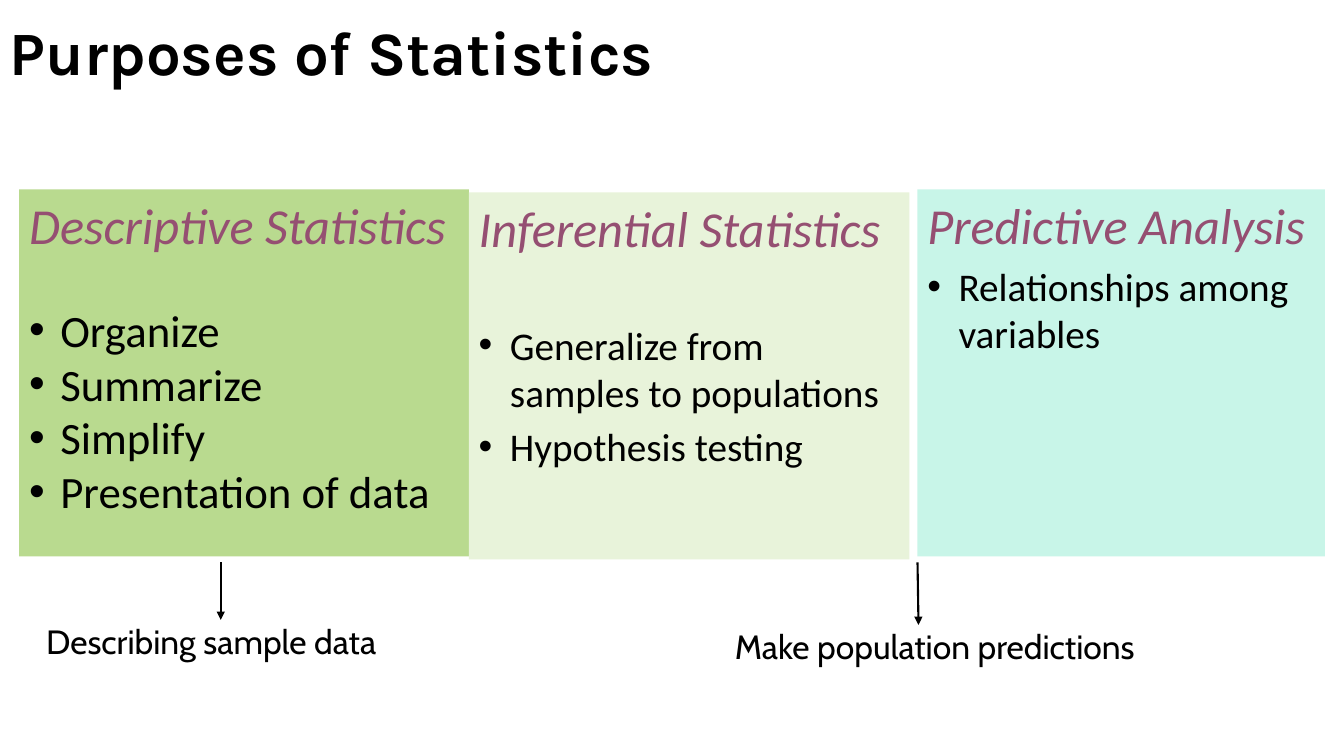
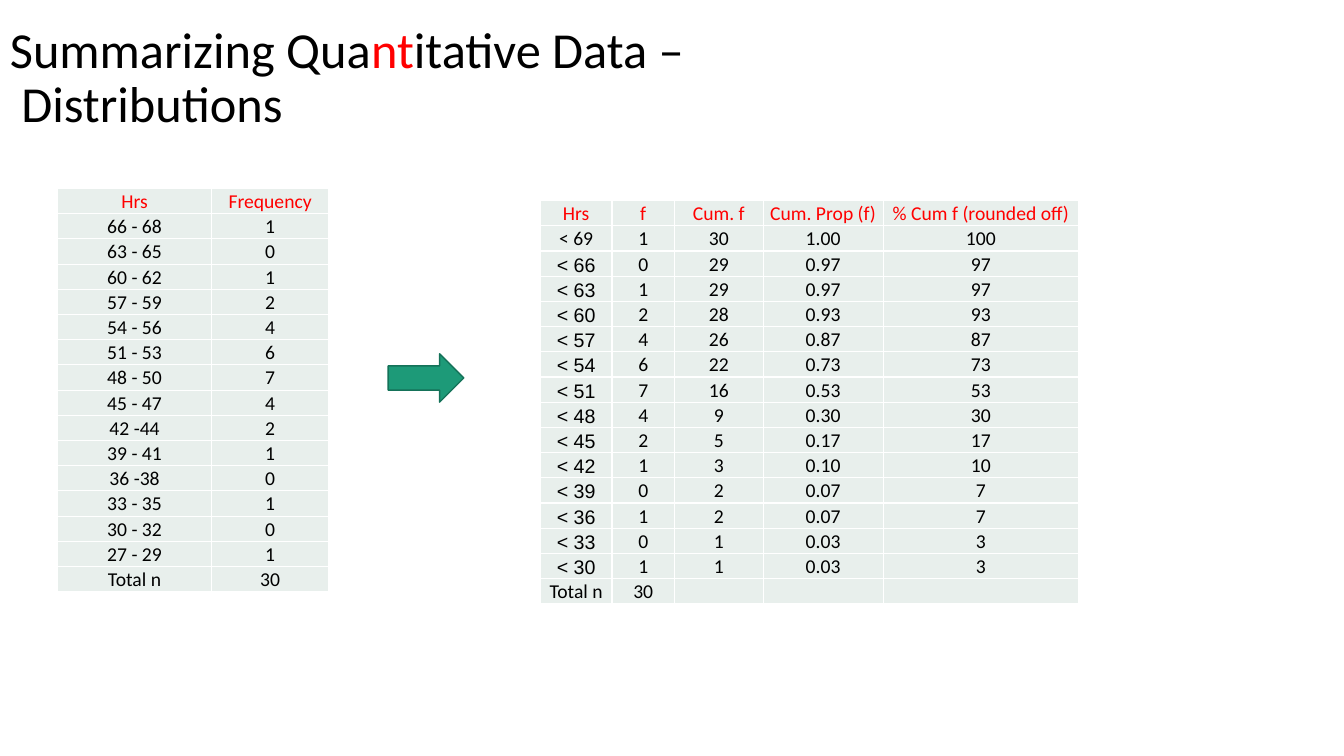
import dataclasses
import itertools

import lxml.etree
import pptx
import pptx.dml.color
import pptx.enum.shapes
import pptx.enum.text
import pptx.oxml
import pptx.oxml.ns
import pptx.util

qn = pptx.oxml.ns.qn
Shapes = pptx.enum.shapes.MSO_SHAPE
Anchor = pptx.enum.text.MSO_ANCHOR
Align = pptx.enum.text.PP_ALIGN


@dataclasses.dataclass(frozen=True)
class Theme:
    """Colours, fonts and type sizes shared by the slides."""
    ink: str = "000000"
    accent: str = "FF0000"
    heading: str = "954F72"
    descriptive: str = "B9DA8F"
    inferential: str = "E8F3DA"
    predictive: str = "C8F5E8"
    cell: str = "E8EFEC"
    grid: str = "FFFFFF"
    arrow: str = "1D9A78"
    arrow_edge: str = "157259"
    body_font: str = "Calibri"
    title_font: str = "Karla"
    caption_font: str = "Cabin"
    plain_font: str = "Arial"
    title_size: int = 44
    heading_size: int = 36
    large_size: int = 32
    body_size: int = 28
    caption_size: int = 24
    table_size: int = 14


def px(length):
    """Turn px, 100 to the inch, into EMU."""
    return pptx.util.Emu(length * 9144)


def rgb(value):
    """Turn a hex value into a colour."""
    return pptx.dml.color.RGBColor.from_string(value)


class Deck:
    """Hold the theme and the current slide, and draw each kind of element."""

    def __init__(self, theme, width, height):
        """Start an empty presentation of the given size."""
        self.theme = theme
        self.prs = pptx.Presentation()
        self.prs.slide_width, self.prs.slide_height = px(width), px(height)
        self.slide = None

    def new_slide(self):
        """Add a blank slide and make it current."""
        self.slide = self.prs.slides.add_slide(self.prs.slide_layouts[6])

    def run(self, paragraph, text, size, font=None, color=None, bold=False, italic=False):
        """Add one styled run."""
        run = paragraph.add_run()
        run.text = text
        run.font.size = pptx.util.Pt(size)
        run.font.name = font or self.theme.body_font
        run.font.color.rgb = rgb(color or self.theme.ink)
        run.font.bold, run.font.italic = bold, italic

    def text(self, box):
        """Add a wrapping text box and return its frame."""
        frame = self.slide.shapes.add_textbox(*map(px, box)).text_frame
        frame.word_wrap = True
        return frame

    def title(self, box, lines, **style):
        """Add a title from lines of (text, colour) parts."""
        frame = self.text(box)
        frame.vertical_anchor = Anchor.MIDDLE
        paragraph = frame.paragraphs[0]
        paragraph.line_spacing = 0.9
        for index, parts in enumerate(lines):
            if index:
                paragraph.add_line_break()
            for text, color in parts:
                self.run(paragraph, text, color=color, **style)

    def caption(self, box, text):
        """Add a short caption."""
        self.run(self.text(box).paragraphs[0], text,
                 self.theme.caption_size, self.theme.caption_font)

    def shape(self, kind, box, fill, line=None):
        """Add a filled shape, outlined if a line colour is given."""
        shape = self.slide.shapes.add_shape(kind, *map(px, box))
        shape.shadow.inherit = False
        shape.fill.solid()
        shape.fill.fore_color.rgb = rgb(fill)
        if line:
            shape.line.color.rgb = rgb(line)
            shape.line.width = pptx.util.Pt(1)
        else:
            shape.line.fill.background()
        return shape

    def bullet(self, paragraph):
        """Give a paragraph a hanging bullet."""
        props = paragraph._p.get_or_add_pPr()
        props.set("marL", str(px(31)))
        props.set("indent", str(-px(31)))
        color = lxml.etree.SubElement(props, qn("a:buClr"))
        lxml.etree.SubElement(color, qn("a:srgbClr"), val=self.theme.ink)
        lxml.etree.SubElement(props, qn("a:buFont"), typeface=self.theme.plain_font)
        lxml.etree.SubElement(props, qn("a:buChar"), char="•")

    def panel(self, box, fill, heading, items, size, first_gap, gap):
        """Add a coloured panel with a heading and bullets."""
        frame = self.shape(Shapes.RECTANGLE, box, fill).text_frame
        frame.word_wrap = True
        frame.vertical_anchor = Anchor.TOP
        top = frame.paragraphs[0]
        top.alignment = Align.LEFT
        self.run(top, heading, self.theme.heading_size,
                 color=self.theme.heading, italic=True)
        for index, item in enumerate(items):
            paragraph = frame.add_paragraph()
            self.bullet(paragraph)
            paragraph.alignment = Align.LEFT
            paragraph.space_before = pptx.util.Pt(gap if index else first_gap)
            self.run(paragraph, item, size)

    def arrow(self, *ends):
        """Add a thin arrow between two points."""
        line = self.slide.shapes.add_connector(
            pptx.enum.shapes.MSO_CONNECTOR.STRAIGHT, *map(px, ends))
        line.line.color.rgb = rgb(self.theme.ink)
        line.line.width = pptx.util.Pt(1.5)
        lxml.etree.SubElement(line.line._get_or_add_ln(), qn("a:tailEnd"), type="triangle")
        lxml.etree.SubElement(line._element.spPr, qn("a:effectLst"))

    def cell(self, cell, text, font, color):
        """Fill, border and write one table cell."""
        cell.fill.solid()
        cell.fill.fore_color.rgb = rgb(self.theme.cell)
        cell.vertical_anchor = Anchor.BOTTOM
        cell.margin_left = cell.margin_right = cell.margin_top = px(1)
        cell.margin_bottom = 0
        props = cell._tc.get_or_add_tcPr()
        for index, side in enumerate(("a:lnL", "a:lnR", "a:lnT", "a:lnB")):
            border = lxml.etree.Element(qn(side), w=str(pptx.util.Pt(1)))
            solid = lxml.etree.SubElement(border, qn("a:solidFill"))
            lxml.etree.SubElement(solid, qn("a:srgbClr"), val=self.theme.grid)
            props.insert(index, border)
        paragraph = cell.text_frame.paragraphs[0]
        paragraph.alignment = Align.CENTER
        if text:
            self.run(paragraph, text, self.theme.table_size, font, color)
        else:
            lxml.etree.SubElement(paragraph._p, qn("a:endParaRPr"),
                                  sz=str(self.theme.table_size * 100))

    def table(self, left, top, widths, rows, row_height=25, plain_rows=()):
        """Add a table whose first column is in the plain font on some rows."""
        table = self.slide.shapes.add_table(
            len(rows), len(widths), px(left), px(top),
            px(sum(widths)), px(row_height * len(rows))).table
        table.first_row = table.horz_banding = False
        for column, width in zip(table.columns, widths):
            column.width = px(width)
        for r, values in enumerate(rows):
            table.rows[r].height = px(row_height)
            for c, value in enumerate(values):
                font = self.theme.plain_font if c == 0 and r in plain_rows else None
                self.cell(table.cell(r, c), value, font,
                          self.theme.ink if r else self.theme.accent)


def purposes(deck):
    """Draw the three purposes of statistics."""
    theme = deck.theme
    deck.new_slide()
    deck.title((0, 17, 979, 76), [[("Purposes of Statistics", theme.ink)]],
               size=theme.title_size, font=theme.title_font, bold=True)
    deck.panel((19, 188, 446, 364), theme.descriptive, "Descriptive Statistics",
               ["Organize", "Summarize", "Simplify", "Presentation of data"],
               theme.large_size, first_gap=34, gap=0)
    deck.panel((465, 191, 437, 364), theme.inferential, "Inferential Statistics",
               ["Generalize from samples to populations", "Hypothesis testing"],
               theme.body_size, first_gap=45, gap=5.5)
    deck.panel((910, 188, 404, 364), theme.predictive, "Predictive Analysis",
               ["Relationships among variables"],
               theme.body_size, first_gap=5.5, gap=5.5)
    deck.caption((36, 611, 366, 50), "Describing sample data")
    deck.caption((719, 616, 436, 50), "Make population predictions")
    deck.arrow(219, 558, 219, 615)
    deck.arrow(910, 558, 911, 620)


def distributions(deck):
    """Draw the frequency table and the cumulative table made from it."""
    theme = deck.theme
    intervals = ["66 - 68", "63 - 65", "60 - 62", "57 - 59", "54 - 56", "51 - 53", "48 - 50",
                 "45 - 47", "42 -44", "39 - 41", "36 -38", "33 - 35", "30 - 32", "27 - 29"]
    counts = [1, 0, 1, 2, 4, 6, 7, 4, 2, 1, 0, 1, 0, 1]
    total = sum(counts)
    running = list(itertools.accumulate(reversed(counts)))[::-1]
    total_row = ["Total n", str(total)]

    frequency = [["Hrs", "Frequency"]]
    frequency += [[hours, str(count)] for hours, count in zip(intervals, counts)]
    cumulative = [["Hrs", "f", "Cum. f", "Cum. Prop (f)", "% Cum f (rounded off)"]]
    cumulative += [
        [f"< {limit}", str(count), str(below), f"{below / total:.2f}", f"{below / total * 100:.0f}"]
        for limit, count, below in zip(range(69, 27, -3), counts, running)]

    deck.new_slide()
    deck.title((0, 6, 1150, 145),
               [[("Summarizing Qua", theme.ink), ("nt", theme.accent),
                 ("itative Data –", theme.ink)],
                [(" Distributions", theme.ink)]],
               size=theme.heading_size)
    deck.table(57, 187, [153, 116], frequency + [total_row])
    deck.shape(Shapes.RIGHT_ARROW, (385, 351, 75, 48), theme.arrow, theme.arrow_edge)
    deck.table(536, 199, [71, 62, 88, 119, 194], cumulative + [total_row + [""] * 3],
               plain_rows=range(2, len(cumulative)))


def main():
    """Build and save the presentation."""
    deck = Deck(Theme(), 1333, 750)
    purposes(deck)
    distributions(deck)
    deck.prs.save("out.pptx")


if __name__ == "__main__":
    main()
